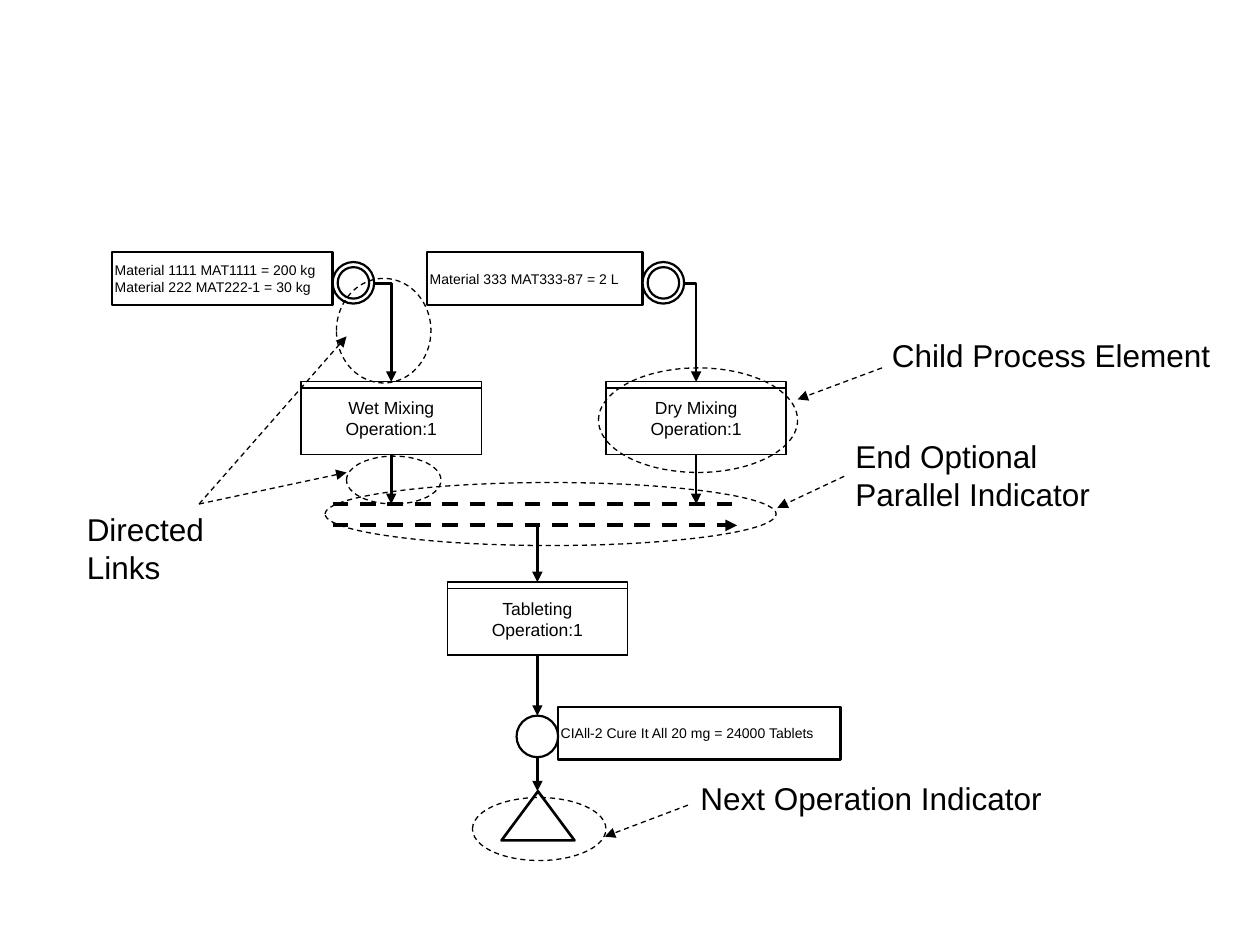
import pptx
import pptx.dml.color
import pptx.enum.dml
import pptx.enum.shapes
import pptx.enum.text
import pptx.oxml
import pptx.util

KIND = pptx.enum.shapes.MSO_SHAPE
WIRE = pptx.enum.shapes.MSO_CONNECTOR
ALIGN = pptx.enum.text.PP_ALIGN
MIDDLE = pptx.enum.text.MSO_ANCHOR.MIDDLE
FIT = pptx.enum.text.MSO_AUTO_SIZE.SHAPE_TO_FIT_TEXT
DASH = pptx.enum.dml.MSO_LINE.DASH


def paint(code):
    return pptx.dml.color.RGBColor.from_string(code)


class Chart:
    """Draws flow elements on a grid of 100 columns by 75 rows."""

    font, ink, paper = "Arial", "000000", "FFFFFF"

    def __init__(self, deck):
        self.slide = deck.slides.add_slide(deck.slide_layouts[6])
        self.shapes = self.slide.shapes
        self.col = deck.slide_width / 100
        self.row = deck.slide_height / 75

    def scale(self, x, y):
        return round(x * self.col), round(y * self.row)

    def stroke(self, line, width, dash):
        line.color.rgb = paint(self.ink)
        line.width = pptx.util.Pt(width)
        if dash:
            line.dash_style = DASH

    def shape(self, kind, x, y, w, h, width=0.75, dash=False, fill=True):
        item = self.shapes.add_shape(kind, *self.scale(x, y), *self.scale(w, h))
        item.shadow.inherit = False
        if fill:
            item.fill.solid()
            item.fill.fore_color.rgb = paint(self.paper)
        else:
            item.fill.background()
        self.stroke(item.line, width, dash)
        return item

    def letter(self, item, text, size, align=ALIGN.LEFT):
        frame = item.text_frame
        frame.text = text
        for para in frame.paragraphs:
            para.alignment = align
            for run in para.runs:
                run.font.name = self.font
                run.font.size = pptx.util.Pt(size)
                run.font.color.rgb = paint(self.ink)
        return frame

    def link(self, start, end, width=1.5, dash=False, head=True, bent=False):
        kind = WIRE.ELBOW if bent else WIRE.STRAIGHT
        item = self.shapes.add_connector(kind, *self.scale(*start), *self.scale(*end))
        self.stroke(item.line, width, dash)
        props = item._element.spPr
        if bent:
            props.prstGeom.set("prst", "bentConnector2")
        space = pptx.oxml.ns.nsdecls("a")
        if head:
            props.ln.append(pptx.oxml.parse_xml(f'<a:tailEnd {space} type="triangle"/>'))
        props.append(pptx.oxml.parse_xml(f"<a:effectLst {space}/>"))
        return item

    def stock(self, x, y, w, text):
        item = self.shape(KIND.RECTANGLE, x, y, w, 4.2, 1.5)
        frame = self.letter(item, text, 8)
        frame.word_wrap = True
        frame.vertical_anchor = MIDDLE
        frame.margin_left = frame.margin_right = pptx.util.Inches(0.02)
        frame.margin_top = frame.margin_bottom = pptx.util.Inches(0.02)

    def port(self, x, y):
        self.shape(KIND.OVAL, x, y, 3.3, 3.3, 1.25)

    def ring(self, x, y):
        self.port(x, y)
        self.shape(KIND.OVAL, x + 0.4, y + 0.4, 2.5, 2.5, 1.25)

    def step(self, x, y, text):
        item = self.shape(KIND.RECTANGLE, x, y, 14.3, 5.8)
        frame = self.letter(item, text, 10, ALIGN.CENTER)
        frame.word_wrap = True
        frame.vertical_anchor = MIDDLE
        self.shape(KIND.RECTANGLE, x, y + 0.5, 14.3, 5.3, fill=False)
        return item

    def halo(self, x, y, w, h):
        self.shape(KIND.OVAL, x, y, w, h, dash=True, fill=False)

    def label(self, x, y, w, h, text):
        item = self.shapes.add_textbox(*self.scale(x, y), *self.scale(w, h))
        frame = self.letter(item, text, 18)
        frame.word_wrap = False
        frame.auto_size = FIT


def main():
    deck = pptx.Presentation()
    deck.slide_width = pptx.util.Inches(10)
    deck.slide_height = pptx.util.Inches(7.5)
    flow = Chart(deck)

    feeds = [
        (8.9, 17.5, 23.9, "Material 1111 MAT1111 = 200 kg\nMaterial 222 MAT222-1 = 30 kg", "Wet Mixing Operation:1"),
        (33.9, 17.1, 48.1, "Material 333 MAT333-87 = 2 L", "Dry Mixing Operation:1"),
    ]
    for left, width, side, goods, task in feeds:
        edge, mid = left + width, side + 7.15
        flow.stock(left, 20, width, goods)
        flow.ring(edge, 20.8)
        mix = flow.step(side, 30.3, task)
        flow.link((edge + 3.3, 22.5), (mid, 30.3), bent=True)
        flow.link((mid, 36.1), (mid, 40)).begin_connect(mix, 2)

    press = flow.step(35.5, 46.2, "Tableting Operation:1")
    axis = 42.65
    flow.stock(44.3, 56.1, 22.4, "CIAll-2 Cure It All 20 mg = 24000 Tablets")
    flow.port(41, 56.8)
    flow.shape(KIND.ISOSCELES_TRIANGLE, 39.8, 62.8, 5.8, 3.9, 1.5)
    flow.link((axis, 41.7), (axis, 46.2)).end_connect(press, 0)
    flow.link((axis, 52), (axis, 56.8)).begin_connect(press, 2)
    flow.link((axis, 60.1), (axis, 62.8))
    for y, head in ((40, False), (41.7, True)):
        flow.link((26.4, y), (58.5, y), 2.25, dash=True, head=head)

    halos = [
        (47.5, 29.2, 15.8, 8.3),
        (37.5, 63.3, 10.6, 5),
        (25.8, 38.3, 35.8, 5),
        (27.5, 36.2, 7.5, 3.8),
        (26.7, 22.1, 7.5, 8.3),
    ]
    for spot in halos:
        flow.halo(*spot)

    hints = [
        ((70, 29.2), (63.3, 31.7)),
        ((54.6, 63.9), (48, 66.4)),
        ((67, 37.8), (61.7, 40.3)),
        ((15.8, 40), (27.5, 37.5)),
        ((15.8, 40), (27.5, 26.7)),
    ]
    for start, end in hints:
        flow.link(start, end, 0.75, dash=True)

    labels = [
        (69.8, 26.2, 27.3, 4, "Child Process Element"),
        (54.6, 61.3, 29.1, 4, "Next Operation Indicator"),
        (66.9, 34.2, 20.6, 7, "End Optional\nParallel Indicator"),
        (5.9, 40, 17.8, 4, "Directed Links"),
    ]
    for note in labels:
        flow.label(*note)

    deck.save("out.pptx")


if __name__ == "__main__":
    main()
